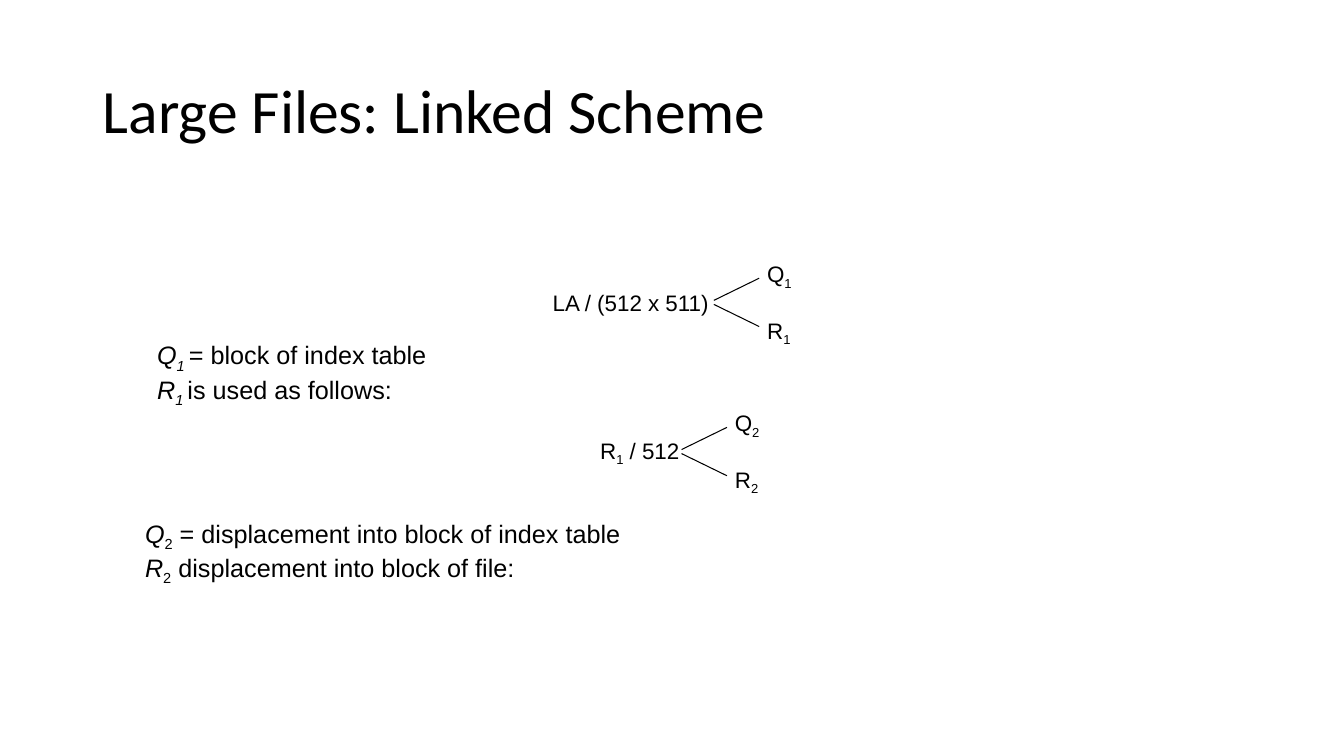
from dataclasses import dataclass

from pptx import Presentation
from pptx.dml.color import RGBColor
from pptx.enum.shapes import MSO_CONNECTOR
from pptx.enum.text import MSO_ANCHOR, MSO_AUTO_SIZE, PP_ALIGN
from pptx.oxml.ns import qn
from pptx.slide import Slide
from pptx.text.text import TextFrame, _Paragraph
from pptx.util import Inches, Pt
from lxml import etree

STRAIGHT = MSO_CONNECTOR.STRAIGHT
MIDDLE = MSO_ANCHOR.MIDDLE
TOP = MSO_ANCHOR.TOP
CENTER = PP_ALIGN.CENTER
FIT_SHAPE = MSO_AUTO_SIZE.SHAPE_TO_FIT_TEXT


@dataclass(frozen=True)
class Theme:
    ink: RGBColor = RGBColor(0, 0, 0)
    title_font: str = "Calibri"
    body_font: str = "Arial"
    title_size: int = 44
    note_size: int = 18
    formula_size: int = 16
    branch_width: float = 0.75


@dataclass(frozen=True)
class Part:
    text: str
    subscript: bool = False
    italic: bool = False


Line = tuple[Part, ...]


@dataclass(frozen=True)
class Division:
    dividend: Line
    left: float
    width: float
    fork_x: float
    fork_y: float
    index: str


@dataclass(frozen=True)
class Note:
    left: float
    top: float
    lines: tuple[Line, ...]


THEME = Theme()

DIVISIONS = (
    Division((Part("LA / (512 x 511)"),), 5.37, 1.77, 7.08, 3.0, "1"),
    Division((Part("R"), Part("1", subscript=True), Part(" / 512")),
             5.84, 1.01, 6.76, 4.48, "2"),
)

NOTES = (
    Note(0.84, 5.09, (
        (Part("Q", italic=True), Part("2", subscript=True),
         Part(" = displacement into block of index table")),
        (Part("R", italic=True), Part("2", subscript=True),
         Part(" displacement into block of file:")),
    )),
    Note(0.96, 3.32, (
        (Part("Q", italic=True), Part("1 ", subscript=True, italic=True),
         Part("= block of index table")),
        (Part("R", italic=True), Part("1 ", subscript=True, italic=True),
         Part("is used as follows:")),
    )),
)


def add_frame(slide: Slide, left: float, top: float, width: float,
              height: float, wrap: bool, anchor: MSO_ANCHOR) -> TextFrame:
    frame = slide.shapes.add_textbox(
        Inches(left), Inches(top), Inches(width), Inches(height)).text_frame
    frame.word_wrap = wrap
    frame.vertical_anchor = anchor
    return frame


def write_line(paragraph: _Paragraph, line: Line, font: str, size: int) -> None:
    for part in line:
        run = paragraph.add_run()
        run.text = part.text
        run.font.name = font
        run.font.size = Pt(size)
        run.font.italic = part.italic
        run.font.color.rgb = THEME.ink
        if part.subscript:
            run.font._element.set("baseline", "-25000")


def add_title(slide: Slide, title: str) -> None:
    frame = add_frame(slide, 0.92, 0.4, 11.5, 1.45, True, MIDDLE)
    heading = frame.paragraphs[0]
    heading.line_spacing = 0.9
    write_line(heading, (Part(title),), THEME.title_font, THEME.title_size)


def add_formula(slide: Slide, line: Line, left: float, top: float,
                width: float) -> None:
    frame = add_frame(slide, left, top, width, 0.37, False, MIDDLE)
    frame.auto_size = FIT_SHAPE
    formula = frame.paragraphs[0]
    formula.alignment = CENTER
    write_line(formula, line, THEME.body_font, THEME.formula_size)


def add_branch(slide: Slide, x: float, y: float, end_x: float,
               end_y: float) -> None:
    branch = slide.shapes.add_connector(
        STRAIGHT, Inches(x), Inches(y), Inches(end_x), Inches(end_y))
    branch.line.color.rgb = THEME.ink
    branch.line.width = Pt(THEME.branch_width)
    etree.SubElement(branch._element.spPr, qn("a:effectLst"))


def add_division(slide: Slide, division: Division) -> None:
    x, y = division.fork_x, division.fork_y
    add_formula(slide, division.dividend, division.left, y - 0.18,
                division.width)
    for letter, side, width in (("Q", -1, 0.46), ("R", 1, 0.45)):
        result = (Part(letter), Part(division.index, subscript=True))
        add_formula(slide, result, x + 0.42, y - 0.17 + side * 0.28, width)
        add_branch(slide, x, y + side * 0.02, x + 0.45, y + side * 0.24)


def add_note(slide: Slide, note: Note) -> None:
    frame = add_frame(slide, note.left, note.top, 6.67, 0.71, True, TOP)
    frame.auto_size = FIT_SHAPE
    for number, line in enumerate(note.lines):
        paragraph = frame.add_paragraph() if number else frame.paragraphs[0]
        paragraph.level = 1
        properties = paragraph._p.get_or_add_pPr()
        properties.set("marL", str(Inches(0.5)))
        properties.set("indent", "0")
        write_line(paragraph, line, THEME.body_font, THEME.note_size)


def main() -> None:
    presentation = Presentation()
    presentation.slide_width = Inches(13.33)
    presentation.slide_height = Inches(7.5)
    slide = presentation.slides.add_slide(presentation.slide_layouts[6])
    add_title(slide, "Large Files: Linked Scheme")
    for division in DIVISIONS:
        add_division(slide, division)
    for note in NOTES:
        add_note(slide, note)
    presentation.save("out.pptx")


if __name__ == "__main__":
    main()
